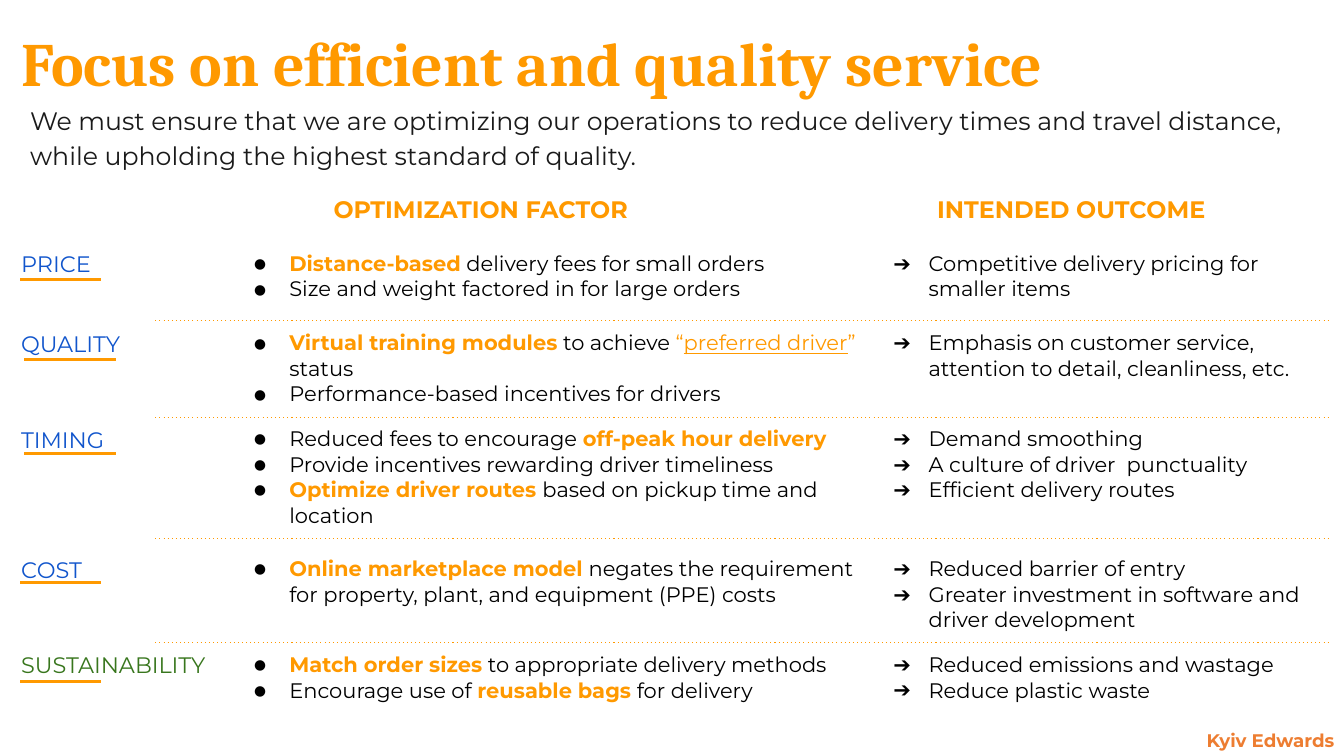
from dataclasses import dataclass
from itertools import accumulate

from lxml.etree import SubElement
from pptx import Presentation
from pptx.dml.color import RGBColor
from pptx.enum.shapes import MSO_CONNECTOR
from pptx.enum.text import MSO_ANCHOR, MSO_AUTO_SIZE, PP_ALIGN
from pptx.oxml.ns import qn
from pptx.util import Pt

PX = 9144
COLORS = {
    "orange": "FF9900", "blue": "1155CC", "green": "38761D", "black": "000000",
    "ink": "1A1A1A", "white": "FFFFFF", "rust": "ED7D31",
}
TITLE_FONT, BODY_FONT = "Cambria", "Montserrat"
DOT, ARROW = ("●", "65000"), ("➔", "100000")
COLUMN_WIDTHS = 216, 634, 473


@dataclass
class Factor:
    name: str
    color: str
    height: int
    underline: tuple
    separator: int
    actions: list
    outcomes: list


def bold(text):
    return text, "orange", True, False


def quoted(text, underlined=False):
    return text, "orange", False, underlined


def plain(text):
    return text, "black", False, False


SHORT, LONG = (9, 80), (13, 91)
MAIN_FACTORS = [
    Factor("PRICE", "blue", 79, (*SHORT, 38), 79, [
        [bold("Distance-based"), plain(" delivery fees for small orders")],
        [plain("Size and weight factored in for large orders")],
    ], ["Competitive delivery pricing for smaller items"]),
    Factor("QUALITY", "blue", 93, (*LONG, 39), 96, [
        [bold("Virtual training modules"), plain(" to achieve "), quoted("“"),
         quoted("preferred driver", True), quoted("”"), plain(" status")],
        [plain("Performance-based incentives for drivers")],
    ], ["Emphasis on customer service, attention to detail, cleanliness, etc."]),
    Factor("TIMING", "blue", 104, (*LONG, 39), 123, [
        [plain("Reduced fees to encourage "), bold("off-peak hour delivery")],
        [plain("Provide incentives rewarding driver timeliness")],
        [bold("Optimize driver routes "), plain("based on pickup time and location")],
    ], ["Demand smoothing", "A culture of driver  punctuality", "Efficient delivery routes"]),
]
RESOURCE_FACTORS = [
    Factor("COST", "blue", 94, (*SHORT, 36), 95, [
        [bold("Online marketplace model"),
         plain(" negates the requirement for property, plant, and equipment (PPE) costs")],
    ], ["Reduced barrier of entry", "Greater investment in software and driver development"]),
    Factor("SUSTAINABILITY", "green", 90, (*SHORT, 40), 0, [
        [bold("Match order sizes"), plain(" to appropriate delivery methods")],
        [plain("Encourage use of "), bold("reusable bags"), plain(" for delivery")],
    ], ["Reduced emissions and wastage", "Reduce plastic waste"]),
]


def rgb(name):
    return RGBColor.from_string(COLORS[name])


def add_run(paragraph, text, size, color, is_bold=False, underlined=False, font=BODY_FONT):
    run = paragraph.add_run()
    run.text = text
    run.font.name = font
    run.font.size = Pt(size)
    run.font.bold = is_bold
    run.font.underline = underlined
    run.font.color.rgb = rgb(color)


def set_margins(target, horizontal, vertical):
    target.margin_left = target.margin_right = horizontal * PX
    target.margin_top = target.margin_bottom = vertical * PX


def add_title(slide, box, text):
    title = slide.shapes.title
    title.left, title.top, title.width, title.height = [value * PX for value in box]
    frame = title.text_frame
    set_margins(frame, 10, 5)
    frame.word_wrap = True
    frame.auto_size = MSO_AUTO_SIZE.NONE
    frame.vertical_anchor = MSO_ANCHOR.MIDDLE
    paragraph = frame.paragraphs[0]
    paragraph.alignment = PP_ALIGN.LEFT
    paragraph.line_spacing = 0.9
    add_run(paragraph, text, 44, "orange", True, font=TITLE_FONT)


def add_text(slide, box, text, size, color, is_bold=True, alignment=PP_ALIGN.LEFT, spacing=1.0):
    frame = slide.shapes.add_textbox(*[value * PX for value in box]).text_frame
    set_margins(frame, 10, 10)
    frame.word_wrap = True
    frame.auto_size = MSO_AUTO_SIZE.SHAPE_TO_FIT_TEXT
    paragraph = frame.paragraphs[0]
    paragraph.alignment = alignment
    paragraph.line_spacing = spacing
    add_run(paragraph, text, size, color, is_bold)


def add_rule(slide, left, top, width, weight, dash="solid"):
    ends = [value * PX for value in (left, top, left + width, top)]
    connector = slide.shapes.add_connector(MSO_CONNECTOR.STRAIGHT, *ends)
    connector.line.color.rgb = rgb("orange")
    connector.line.width = Pt(weight)
    properties = connector._element.spPr
    SubElement(properties.find(qn("a:ln")), qn("a:prstDash"), val=dash)
    SubElement(properties, qn("a:effectLst"))


def format_cell(cell):
    set_margins(cell, 10, 10)
    properties = cell._tc.get_or_add_tcPr()
    for side in ("lnL", "lnR", "lnT", "lnB"):
        border = SubElement(properties, qn(f"a:{side}"), w=str(Pt(0.75)))
        fill = SubElement(border, qn("a:solidFill"))
        SubElement(fill, qn("a:srgbClr"), val=COLORS["white"])
    cell.fill.background()


def add_bullets(cell, items, bullet):
    symbol, scale = bullet
    frame = cell.text_frame
    for index, runs in enumerate(items):
        paragraph = frame.add_paragraph() if index else frame.paragraphs[0]
        properties = paragraph._p.get_or_add_pPr()
        properties.set("marL", str(50 * PX))
        properties.set("indent", str(-35 * PX))
        color = SubElement(properties, qn("a:buClr"))
        SubElement(color, qn("a:srgbClr"), val=COLORS["black"])
        SubElement(properties, qn("a:buSzPct"), val=scale)
        SubElement(properties, qn("a:buFont"), typeface=BODY_FONT)
        SubElement(properties, qn("a:buChar"), char=symbol)
        for text, run_color, is_bold, underlined in runs:
            add_run(paragraph, text, 15, run_color, is_bold, underlined)


def add_factor_table(slide, left, top, factors):
    heights = [factor.height for factor in factors]
    box = left, top, sum(COLUMN_WIDTHS), sum(heights)
    frame = slide.shapes.add_table(len(factors), len(COLUMN_WIDTHS), *[value * PX for value in box])
    table = frame.table
    table.first_row = table.horz_banding = False
    for column, width in zip(table.columns, COLUMN_WIDTHS):
        column.width = width * PX
    row_tops = accumulate(heights, initial=top)
    for row, factor, row_top in zip(table.rows, factors, row_tops):
        row.height = factor.height * PX
        for cell in row.cells:
            format_cell(cell)
        name, actions, outcomes = row.cells
        add_run(name.text_frame.paragraphs[0], factor.name, 16, factor.color)
        add_bullets(actions, factor.actions, DOT)
        add_bullets(outcomes, [[plain(text)] for text in factor.outcomes], ARROW)
        offset, width, drop = factor.underline
        add_rule(slide, left + offset, row_top + drop, width, 2.25)
        if factor.separator:
            add_rule(slide, left + 143, row_top + factor.separator, 1166, 0.75, "dot")


def main():
    presentation = Presentation()
    presentation.slide_width, presentation.slide_height = 1333 * PX, 750 * PX
    slide = presentation.slides.add_slide(presentation.slide_layouts[5])
    add_title(slide, (11, 0, 1309, 132), "Focus on efficient and quality service")
    add_text(slide, (20, 90, 1271, 85),
             "We must ensure that we are optimizing our operations to reduce delivery times "
             "and travel distance, while upholding the highest standard of quality.",
             18, "ink", is_bold=False, spacing=1.15)
    add_text(slide, (321, 183, 322, 49), "OPTIMIZATION FACTOR", 17, "orange")
    add_text(slide, (890, 183, 345, 49), "INTENDED OUTCOME", 17, "orange",
             alignment=PP_ALIGN.CENTER)
    add_factor_table(slide, 11, 239, MAIN_FACTORS)
    add_factor_table(slide, 11, 542, RESOURCE_FACTORS)
    add_text(slide, (978, 714, 355, 36), "Kyiv Edwards", 13, "rust", alignment=PP_ALIGN.RIGHT)
    presentation.save("out.pptx")


if __name__ == "__main__":
    main()
